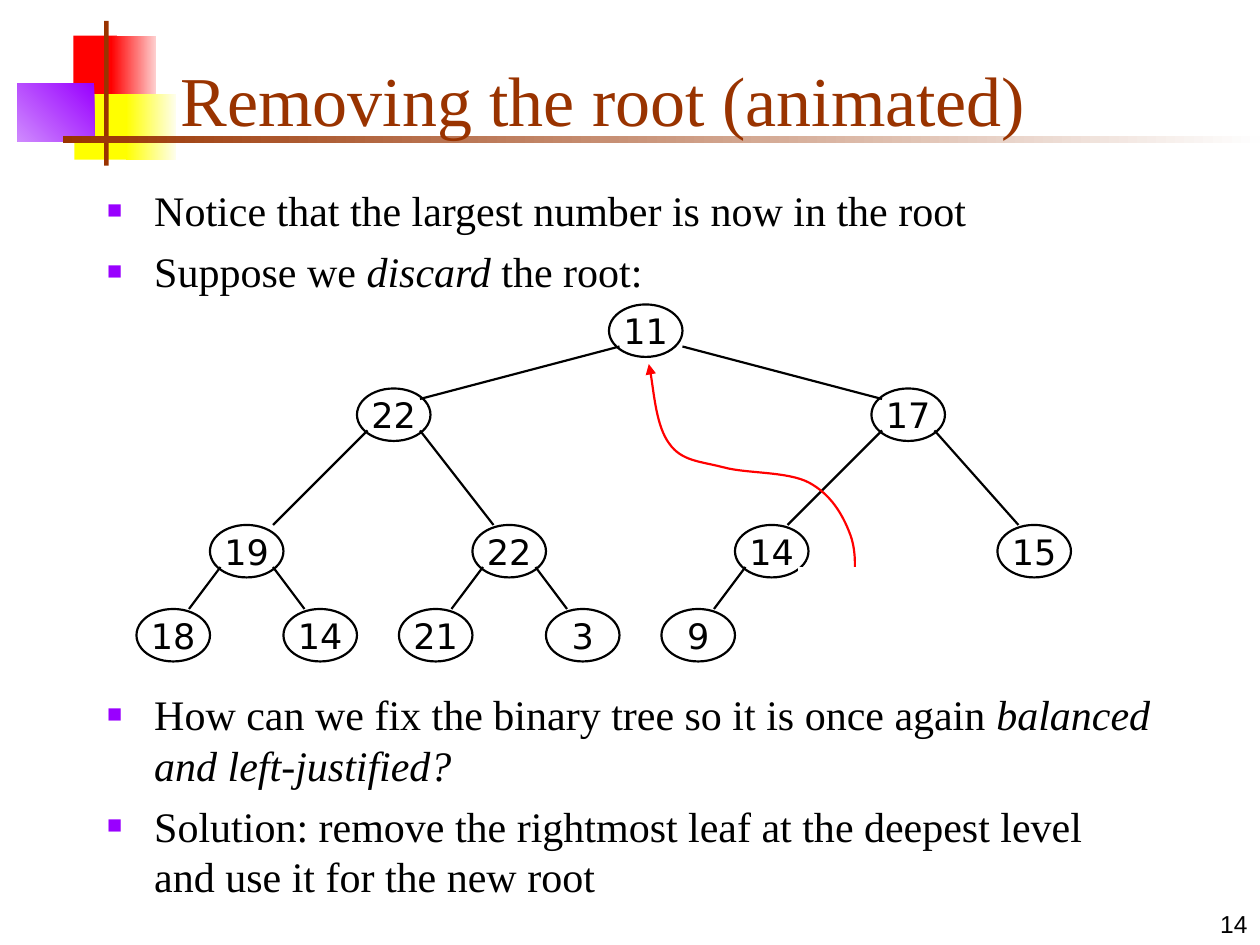
from lxml import etree
from pptx import Presentation
from pptx.dml.color import RGBColor
from pptx.enum.shapes import MSO_CONNECTOR, MSO_SHAPE
from pptx.enum.text import MSO_ANCHOR, MSO_AUTO_SIZE, PP_ALIGN
from pptx.oxml.ns import qn
from pptx.util import Cm, Pt

RECT, OVAL, LINE = MSO_SHAPE.RECTANGLE, MSO_SHAPE.OVAL, MSO_CONNECTOR.STRAIGHT
TOP, MIDDLE, BOTTOM = MSO_ANCHOR.TOP, MSO_ANCHOR.MIDDLE, MSO_ANCHOR.BOTTOM
LEFT, CENTER, RIGHT = PP_ALIGN.LEFT, PP_ALIGN.CENTER, PP_ALIGN.RIGHT

BLACK = RGBColor(0x00, 0x00, 0x00)
WHITE = RGBColor(0xFF, 0xFF, 0xFF)
RED = RGBColor(0xFF, 0x00, 0x00)
PINK = RGBColor(0xFE, 0xD0, 0xD0)
YELLOW = RGBColor(0xFF, 0xFF, 0x00)
CREAM = RGBColor(0xFE, 0xFE, 0xEF)
PURPLE = RGBColor(0x99, 0x00, 0xFF)
LILAC = RGBColor(0xCF, 0x8A, 0xFE)
BROWN = RGBColor(0x99, 0x33, 0x00)
PALE = RGBColor(0xFE, 0xFE, 0xFE)
SERIF, SANS, DIGITS = "Times New Roman", "Arial", "DejaVu Sans"

# Content: each paragraph is a list of (text, italic) runs
TITLE = "Removing the root (animated)"
PAGE = "14"
ABOVE = [
    [("Notice that the largest number is now in the root", False)],
    [("Suppose we ", False), ("discard", True), (" the root:", False)],
]
BELOW = [
    [("How can we fix the binary tree so it is once again ", False),
     ("balanced and left-justified?", True)],
    [("Solution: remove the rightmost leaf at the deepest level "
      "and use it for the new root", False)],
]

# Tree, in grid steps: name -> (label, column, row)
NODE_W, NODE_H = 7, 5
NODES = {
    "root": ("11", 58, 29),
    "L": ("22", 34, 37), "R": ("17", 83, 37),
    "LL": ("19", 20, 50), "LR": ("22", 45, 50),
    "RL": ("14", 70, 50), "RR": ("15", 95, 50),
    "LLL": ("18", 13, 58), "LLR": ("14", 27, 58),
    "LRL": ("21", 38, 58), "LRR": ("3", 52, 58),
    "RLL": ("9", 63, 58),
}
# Where an edge leaves the parent and meets the child, by side
LEAVE = {"L": (1, 4), "R": (6, 4)}
MEET = {"L": (5, 0), "R": (2, 0)}
SPECIAL = {"L": ((1, 4), (6, 1)), "R": ((7, 4), (1, 1)), "LL": ((1, 4), (6, 0))}

# Moving arrow in cm: start, then three points per Bezier curve
ARROW = [
    (17.15, 12.27), (17.22, 11.76), (17.30, 11.23), (17.15, 10.80),
    (16.99, 10.36), (16.74, 9.96), (16.31, 9.73),
    (15.88, 9.50), (15.04, 9.55), (14.58, 9.42),
    (14.12, 9.30), (13.74, 9.30), (13.49, 8.94),
    (13.23, 8.59), (13.16, 7.67), (13.08, 7.34),
]

# Corner blocks in cm: box, fill colours, gradient angle
BLOCKS = [
    ((1.48, 0.72, 0.88, 1.32), (RED,), 0),
    ((2.24, 0.72, 0.91, 1.32), (PINK, RED), 180),
    ((1.5, 1.9, 1.17, 1.32), (YELLOW,), 0),
    ((2.54, 1.9, 1.02, 1.32), (CREAM, YELLOW), 180),
    ((0.35, 1.68, 1.55, 1.17), (PURPLE, LILAC), 225),
    ((2.1, 0.42, 0.09, 2.92), (BROWN,), 0),
    ((1.27, 2.74, 24.13, 0.14), (PALE, BROWN), 180),
]


def grid(*steps):
    """Twelve grid steps are 2.54 cm."""
    return [Cm(n * 2.54 / 12) for n in steps]


def write(sp, paras, size, font=SERIF, color=BLACK, align=LEFT, anchor=TOP,
          wrap=True, bullet=False):
    tf = sp.text_frame
    tf.auto_size, tf.word_wrap, tf.vertical_anchor = MSO_AUTO_SIZE.NONE, wrap, anchor
    for i, runs in enumerate(paras):
        p = tf.paragraphs[0] if i == 0 else tf.add_paragraph()
        p.alignment = align
        p.space_before = Pt(6 if bullet else 0)
        for text, italic in runs:
            r = p.add_run()
            r.text = text
            r.font.size, r.font.name, r.font.italic = Pt(size), font, italic
            r.font.color.rgb = color
        if bullet:
            add_bullet(p)


def add_bullet(p):
    pPr = p._p.get_or_add_pPr()
    pPr.set("marL", str(Cm(0.95)))
    pPr.set("indent", str(-Cm(0.95)))
    clr = etree.SubElement(pPr, qn("a:buClr"))
    etree.SubElement(clr, qn("a:srgbClr"), val=str(PURPLE))
    etree.SubElement(pPr, qn("a:buSzPct"), val="60000")
    etree.SubElement(pPr, qn("a:buFont"), typeface=SANS)
    etree.SubElement(pPr, qn("a:buChar"), char="■")


def place(sp, box):
    sp.left, sp.top, sp.width, sp.height = box


def add_block(s, box, colors, angle=0):
    sp = s.shapes.add_shape(RECT, *box)
    sp.shadow.inherit = False
    sp.line.fill.background()
    if len(colors) == 1:
        sp.fill.solid()
        sp.fill.fore_color.rgb = colors[0]
        return
    sp.fill.gradient()
    sp.fill.gradient_angle = angle
    for stop, color, pos in zip(sp.fill.gradient_stops, colors, (0, 1)):
        stop.color.rgb, stop.position = color, pos


def outline(sp, color):
    sp.line.color.rgb, sp.line.width = color, Pt(1.25)


def add_node(s, label, col, row):
    sp = s.shapes.add_shape(OVAL, *grid(col, row, NODE_W, NODE_H))
    sp.shadow.inherit = False
    sp.fill.background()
    outline(sp, BLACK)
    write(sp, [[(label, False)]], 20, DIGITS, align=CENTER, anchor=MIDDLE, wrap=False)


def add_edge(s, child):
    parent, side = child[:-1] or "root", child[-1]
    leave, meet = SPECIAL.get(child, (LEAVE[side], MEET[side]))
    (_, px, py), (_, cx, cy) = NODES[parent], NODES[child]
    ends = grid(px + leave[0], py + leave[1], cx + meet[0], cy + meet[1])
    c = s.shapes.add_connector(LINE, *ends)
    outline(c, BLACK)
    etree.SubElement(c._element.spPr, qn("a:effectLst"))


def add_arrow(s, points):
    start, *rest = [(Cm(x), Cm(y)) for x, y in points]
    fb = s.shapes.build_freeform(*start)
    fb.add_line_segments(rest, close=False)
    sp = fb.convert_to_shape()
    # Turn every three straight segments into one Bezier curve
    segs = list(sp._element.iter(qn("a:lnTo")))
    for i in range(0, len(segs), 3):
        curve = etree.Element(qn("a:cubicBezTo"))
        segs[i].addprevious(curve)
        for seg in segs[i:i + 3]:
            curve.append(seg[0])
            seg.getparent().remove(seg)
    sp.shadow.inherit = False
    sp.fill.background()
    outline(sp, RED)
    etree.SubElement(sp.line._get_or_add_ln(), qn("a:tailEnd"), type="triangle")


def main():
    prs = Presentation()
    prs.slide_width, prs.slide_height = Cm(25.4), Cm(19.05)
    s = prs.slides.add_slide(prs.slide_layouts[3])
    title, above, below = s.placeholders

    # Corner decoration, with the title in front of it
    for box, colors, angle in BLOCKS:
        add_block(s, [Cm(v) for v in box], colors, angle)
    title.element.getparent().append(title.element)

    # Title and lists
    place(title, grid(16, 3, 102.25, 11))
    write(title, [[(TITLE, False)]], 40, color=BROWN, anchor=BOTTOM)
    place(above, grid(9, 17, 102, 13))
    write(above, ABOVE, 24, bullet=True)
    place(below, grid(9, 65, 102, 22))
    write(below, BELOW, 24, bullet=True)

    # Tree
    for name, node in NODES.items():
        add_node(s, *node)
        if name != "root":
            add_edge(s, name)
    add_arrow(s, ARROW)

    # Blank patch where the last leaf was
    add_block(s, grid(76, 54, 10, 10), (WHITE,))

    # Page number
    sp = s.shapes.add_textbox(*grid(95, 84, 25, 6))
    write(sp, [[(PAGE, False)]], 14, SANS, align=RIGHT, anchor=BOTTOM)

    prs.save("out.pptx")


if __name__ == "__main__":
    main()
